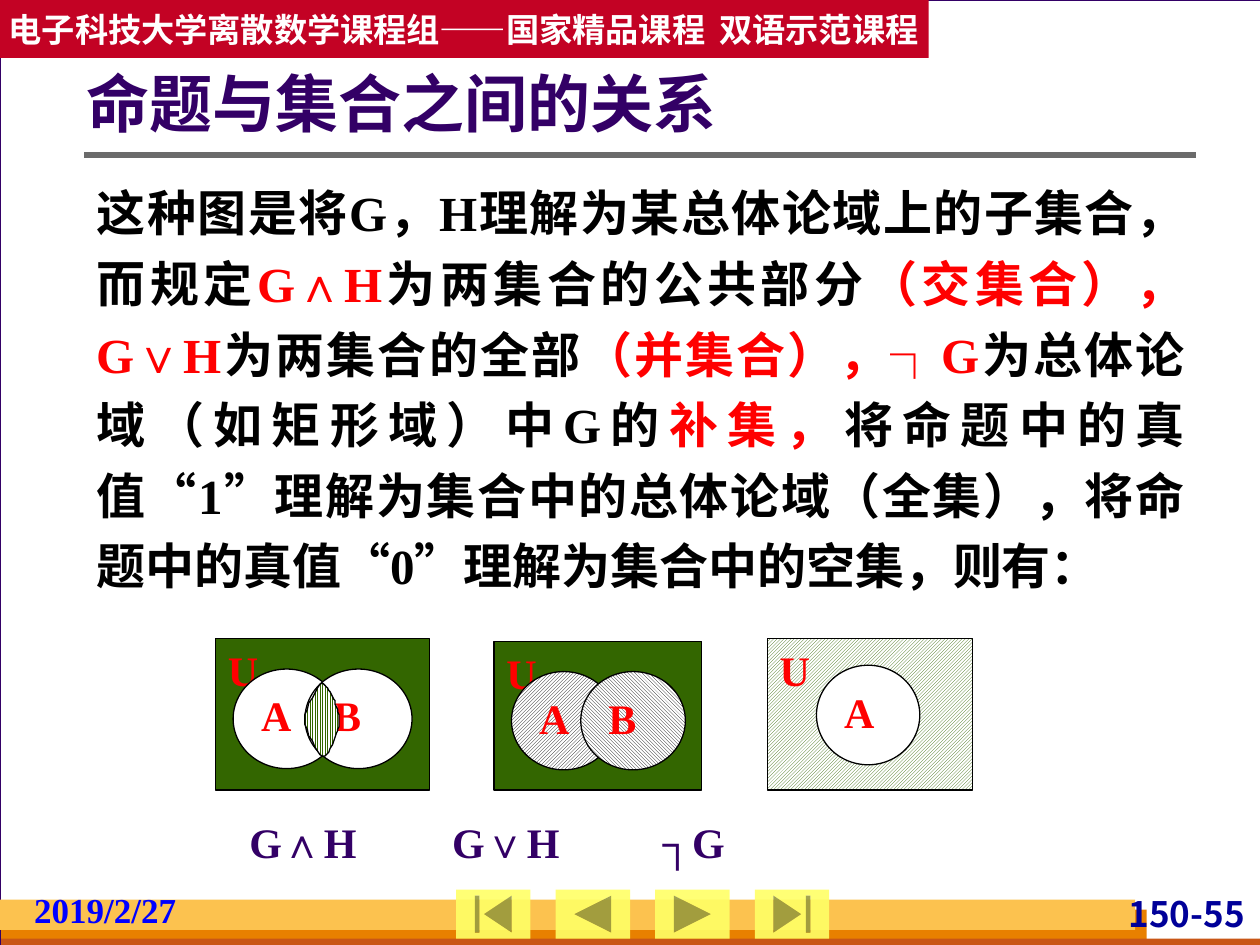
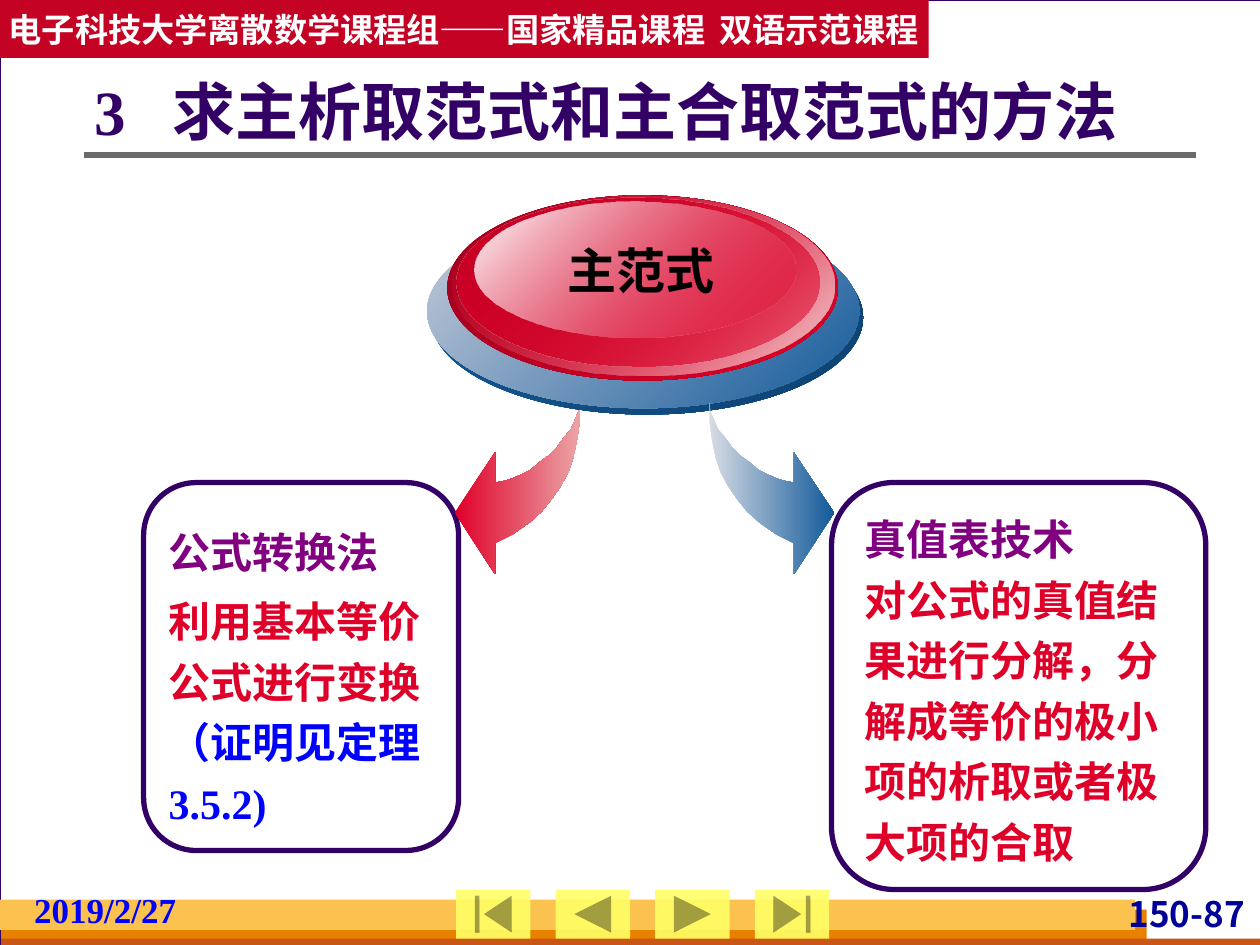
from dataclasses import dataclass

import lxml.etree
import pptx
import pptx.dml.color
import pptx.enum.dml
import pptx.enum.shapes
import pptx.enum.text
import pptx.oxml.ns
import pptx.util

RGB = pptx.dml.color.RGBColor
KIND = pptx.enum.shapes.MSO_SHAPE
ALIGN = pptx.enum.text.PP_ALIGN
ANCHOR = pptx.enum.text.MSO_ANCHOR
FIT = pptx.enum.text.MSO_AUTO_SIZE
PAT = pptx.enum.dml.MSO_PATTERN
qn = pptx.oxml.ns.qn

# One px is a hundredth of an inch
PX = 9144
SERIF, SANS = "Times New Roman", "Noto Sans CJK SC"

# Colours
WHITE = RGB(0xFF, 0xFF, 0xFF)
BLACK = RGB(0, 0, 0)
BACK = RGB(0xD8, 0xDA, 0xDA)
INDIGO = RGB(0x33, 0x00, 0x66)
ORANGE = RGB(0xE8, 0x80, 0x00)
RUST = RGB(0xC9, 0x56, 0x16)
AMBER = RGB(0xFC, 0xC2, 0x4F)
LEMON = RGB(0xFF, 0xFF, 0x66)
GREY = RGB(0x6B, 0x6B, 0x6B)
WINE = RGB(0xC3, 0x02, 0x24)
NAVY = RGB(0x00, 0x00, 0x99)
BLUE = RGB(0x00, 0x00, 0xFF)
RED = RGB(0xFF, 0x00, 0x00)
GREEN = RGB(0x33, 0x66, 0x00)
PLUM = RGB(0x80, 0x00, 0x80)
ROSE = RGB(0xDF, 0x00, 0x29)
PINK = RGB(0xEB, 0xA4, 0xA6)
STEEL = RGB(0x13, 0x5A, 0x9A)
MIST = RGB(0xD8, 0xDC, 0xE5)


@dataclass(frozen=True)
class Box:
    x: int
    y: int
    w: int
    h: int


@dataclass(frozen=True)
class Hatch:
    kind: PAT
    fore: RGB


@dataclass(frozen=True)
class Fade:
    """Two colours with their opacity in percent."""
    start: RGB
    end: RGB
    angle: int = 0
    alphas: tuple = (100, 100)


@dataclass(frozen=True)
class Para:
    runs: list
    size: int = 24
    font: str = SERIF
    tabs: tuple = ()
    form: tuple = ()


@dataclass(frozen=True)
class Part:
    """A shape of a set diagram with its letter."""
    kind: KIND
    box: Box
    fill: object
    mark: str


def apply(item, values: dict) -> None:
    for name, value in values.items():
        setattr(item, name, value)


def fade_out(shape, alphas: tuple) -> None:
    """Give the fill colours their opacity."""
    for node, alpha in zip(shape._element.spPr.iter(qn("a:srgbClr")), alphas):
        if alpha < 100:
            lxml.etree.SubElement(node, qn("a:alpha")).set("val", str(alpha * 1000))


def paint(shape, fill, line=None, width: float = 0.75, alpha: int = 100) -> None:
    shape.shadow.inherit = False
    if fill is None:
        shape.fill.background()
    elif isinstance(fill, Hatch):
        shape.fill.patterned()
        shape.fill.pattern = fill.kind
        shape.fill.fore_color.rgb = fill.fore
        shape.fill.back_color.rgb = WHITE
    elif isinstance(fill, Fade):
        shape.fill.gradient()
        shape.fill.gradient_angle = -fill.angle % 360
        stops = shape.fill.gradient_stops
        for stop, spot, colour in zip(stops, (0, 1), (fill.start, fill.end)):
            stop.position = spot
            stop.color.rgb = colour
        fade_out(shape, fill.alphas)
    else:
        shape.fill.solid()
        shape.fill.fore_color.rgb = fill
        fade_out(shape, (alpha,))
    if line is None:
        shape.line.fill.background()
    else:
        shape.line.color.rgb = line
        shape.line.width = pptx.util.Pt(width)


def write(shape, paras: list, inset=(10, 5, 10, 5), **frame) -> None:
    sides = ("margin_left", "margin_top", "margin_right", "margin_bottom")
    values = {side: gap * PX for side, gap in zip(sides, inset)}
    values |= {"word_wrap": True, "vertical_anchor": ANCHOR.TOP} | frame
    text = shape.text_frame
    apply(text, values)
    for i, para in enumerate(paras):
        line = text.add_paragraph() if i else text.paragraphs[0]
        apply(line, {"alignment": ALIGN.LEFT} | dict(para.form))
        if para.tabs:
            stops = lxml.etree.SubElement(line._p.get_or_add_pPr(), qn("a:tabLst"))
            for tab in para.tabs:
                stop = lxml.etree.SubElement(stops, qn("a:tab"))
                stop.set("pos", str(tab * PX))
                stop.set("algn", "l")
        for words, colour in para.runs:
            run = line.add_run()
            run.text = words
            apply(run.font, {"size": pptx.util.Pt(para.size), "bold": True,
                             "name": para.font})
            run.font.color.rgb = colour
            east = lxml.etree.SubElement(run._r.get_or_add_rPr(), qn("a:ea"))
            east.set("typeface", SANS)


def place(box: Box) -> tuple:
    return box.x * PX, box.y * PX, box.w * PX, box.h * PX


def draw(slide, kind: KIND, box: Box, fill, **style):
    shape = slide.shapes.add_shape(kind, *place(box))
    paint(shape, fill, **style)
    return shape


def label(slide, box: Box, paras: list, **frame) -> None:
    frame = {"auto_size": FIT.SHAPE_TO_FIT_TEXT} | frame
    write(slide.shapes.add_textbox(*place(box)), paras, **frame)


def trace(slide, points: list, fill, line=None) -> None:
    pen = slide.shapes.build_freeform(*points[0], scale=PX)
    pen.add_line_segments(points[1:], close=True)
    paint(pen.convert_to_shape(), fill, line)


def curve(start: tuple, bends: list, steps: int = 8) -> list:
    """Points along a chain of cubic curves."""
    points = [start]
    for b, c, d in bends:
        a = points[-1]
        for i in range(1, steps + 1):
            t = i / steps
            u = 1 - t
            points.append(tuple(
                u**3 * p + 3 * u * u * t * q + 3 * u * t * t * r + t**3 * s
                for p, q, r, s in zip(a, b, c, d)))
    return points


# Shared frame of both slides
BANDS = [(Box(1, 722, 909, 28), ORANGE), (Box(1, 745, 1000, 8), RUST),
         (Box(0, 714, 901, 24), AMBER)]
KEYS = [KIND.ACTION_BUTTON_BEGINNING, KIND.ACTION_BUTTON_BACK_OR_PREVIOUS,
        KIND.ACTION_BUTTON_FORWARD_OR_NEXT, KIND.ACTION_BUTTON_END]


def start(deck, page: str):
    slide = deck.slides.add_slide(deck.slide_layouts[6])
    slide.background.fill.solid()
    slide.background.fill.fore_color.rgb = BACK
    draw(slide, KIND.RECTANGLE, Box(0, 0, 1001, 750), WHITE, line=INDIGO)
    for box, colour in BANDS:
        draw(slide, KIND.RECTANGLE, box, colour)
    label(slide, Box(870, 708, 122, 33),
          [Para([(page, NAVY)], 20, SANS, form=(("alignment", ALIGN.RIGHT),))],
          inset=(4, 0, 4, 0))
    rule = slide.shapes.add_connector(
        pptx.enum.shapes.MSO_CONNECTOR.STRAIGHT, 67 * PX, 123 * PX, 949 * PX, 123 * PX)
    rule.line.color.rgb = GREY
    rule.line.width = pptx.util.Pt(3)
    lxml.etree.SubElement(rule._element.spPr, qn("a:effectLst"))
    for i, key in enumerate(KEYS):
        draw(slide, key, Box(362 + 79 * i, 706, 59, 39), LEMON, alpha=90)
    banner = draw(slide, KIND.RECTANGLE, Box(0, 0, 737, 46), WINE)
    write(banner, [Para([("电子科技大学离散数学课程组——国家精品课程\t双语示范课程", WHITE)],
                        19, SANS, tabs=(564,))],
          inset=(7, 5, 0, 5), word_wrap=False, vertical_anchor=ANCHOR.MIDDLE)
    label(slide, Box(23, 705, 165, 33), [Para([("2019/2/27", BLUE)], 20)],
          inset=(4, 0, 4, 0))
    return slide


# Slide with set diagrams
RECT, OVAL = KIND.RECTANGLE, KIND.OVAL
RISE, FALL = PAT.DARK_UPWARD_DIAGONAL, PAT.DARK_DOWNWARD_DIAGONAL
SETS = [
    Part(RECT, Box(392, 509, 165, 118), GREEN, "U"),
    Part(OVAL, Box(406, 533, 83, 78), Hatch(RISE, BLACK), "A"),
    Part(OVAL, Box(461, 533, 83, 78), Hatch(FALL, BLACK), "B"),
    Part(RECT, Box(171, 507, 170, 120), GREEN, "U"),
    Part(OVAL, Box(185, 531, 85, 79), WHITE, "A"),
    Part(OVAL, Box(242, 531, 85, 79), WHITE, "B"),
    Part(RECT, Box(609, 507, 163, 120), Hatch(RISE, GREEN), "U"),
    Part(OVAL, Box(648, 528, 82, 79), WHITE, "A"),
]
LENS = curve((256, 542), [
    ((252, 544), (242, 562), (242, 571)), ((242, 581), (252, 598), (256, 600)),
    ((260, 602), (265, 588), (267, 582)), ((269, 577), (269, 574), (269, 569)),
    ((269, 564), (266, 557), (264, 553)), ((262, 548), (258, 544), (256, 542))])
BODY = [
    ("这种图是将G，H理解为某总体论域上的子集合，而规定", BLACK), ("G∧H", RED),
    ("为两集合的公共部分", BLACK), ("（交集合），G∨H", RED),
    ("为两集合的全部", BLACK), ("（并集合），┐G", RED),
    ("为总体论域（如矩形域）中G的", BLACK), ("补集，", RED),
    ("将命题中的真值“1”理解为集合中的总体论域（全集），"
     "将命题中的真值“0”理解为集合中的空集，则有：", BLACK)]


def show_sets(deck) -> None:
    slide = start(deck, "150-55")
    just = ("alignment", ALIGN.JUSTIFY)
    label(slide, Box(67, 131, 883, 347),
          [Para(BODY, 28, form=(just, ("line_spacing", 1.2)))])
    label(slide, Box(171, 643, 419, 51),
          [Para([("\tG∧H\tG∨H\t┐G", INDIGO)], tabs=(17, 178, 345))])
    for part in SETS:
        shape = draw(slide, part.kind, part.box, part.fill, line=BLACK)
        write(shape, [Para([(part.mark, RED)], form=(just,))])
    trace(slide, LENS, Hatch(PAT.LIGHT_VERTICAL, GREEN), BLACK)
    label(slide, Box(59, 46, 522, 70), [Para([("命题与集合之间的关系", INDIGO)], 36)],
          word_wrap=False)


# Slide with two methods
ARROW = [
    (460, 320), (460, 335), (458, 349), (455, 363), (451, 375), (445, 386),
    (438, 396), (430, 406), (420, 415), (407, 424), (393, 431), (393, 456),
    (361, 407), (393, 359), (393, 383), (399, 382), (406, 380), (413, 377),
    (421, 373), (428, 367), (435, 362), (442, 355), (447, 348), (453, 341),
    (456, 334), (459, 327)]
DISCS = [
    (Box(342, 175, 343, 154), Fade(STEEL, RGB(0x0E, 0x42, 0x71), 45)),
    (Box(339, 170, 343, 154), Fade(RGB(0xC6, 0xCC, 0xDA), STEEL, 45)),
    (Box(355, 155, 310, 147), Fade(RGB(0xA0, 0x00, 0x1D), ROSE, 45)),
    (Box(359, 155, 303, 143), Fade(ROSE, RGB(0xF4, 0xD4, 0xD4), 45, (0, 100))),
    (Box(362, 157, 288, 134), Fade(RGB(0xCA, 0x00, 0x25), ROSE, 45, (100, 48))),
    (Box(377, 160, 254, 108), Fade(WHITE, ROSE, 45, (100, 38))),
]
# Frame, text box, space between paragraphs in points, heading, runs
CARDS = [
    (Box(114, 383, 250, 292), Box(124, 405, 223, 261), 5, "公式转换法",
     [("利用基本等价公式进行变换", ROSE), ("（证明见定理3.5.2)", BLUE)]),
    (Box(660, 383, 297, 323), Box(676, 395, 265, 301), 0, "真值表技术",
     [("对公式的真值结果进行分解，分解成等价的极小项的析取或者极大项的合取", ROSE)]),
]


def show_ways(deck) -> None:
    slide = start(deck, "150-87")
    label(slide, Box(75, 60, 874, 63),
          [Para([("3\t求主析取范式和主合取范式的方法", INDIGO)], 36, tabs=(62,),
                form=(("line_spacing", 0.9),))],
          inset=(0, 5, 10, 5), vertical_anchor=ANCHOR.MIDDLE, auto_size=FIT.NONE)
    for frame, area, gap, head, runs in CARDS:
        card = draw(slide, KIND.ROUNDED_RECTANGLE, frame, None, line=INDIGO, width=3)
        card.adjustments[0] = 0.167
        space = ("line_spacing", 1.2)
        label(slide, area, [
            Para([(head, PLUM)], form=(space,)),
            Para(runs, form=(space, ("space_before", pptx.util.Pt(gap))))])
    trace(slide, ARROW, Fade(ROSE, PINK))
    for box, fade in DISCS:
        draw(slide, OVAL, box, fade)
    label(slide, Box(428, 186, 162, 57),
          [Para([("主范式", BLACK)], 28, form=(("alignment", ALIGN.CENTER),))])
    trace(slide, [(1023 - x, y) for x, y in ARROW], Fade(MIST, STEEL))


def main() -> None:
    deck = pptx.Presentation()
    apply(deck, {"slide_width": 1000 * PX, "slide_height": 750 * PX})
    show_sets(deck)
    show_ways(deck)
    deck.save("out.pptx")


if __name__ == "__main__":
    main()
